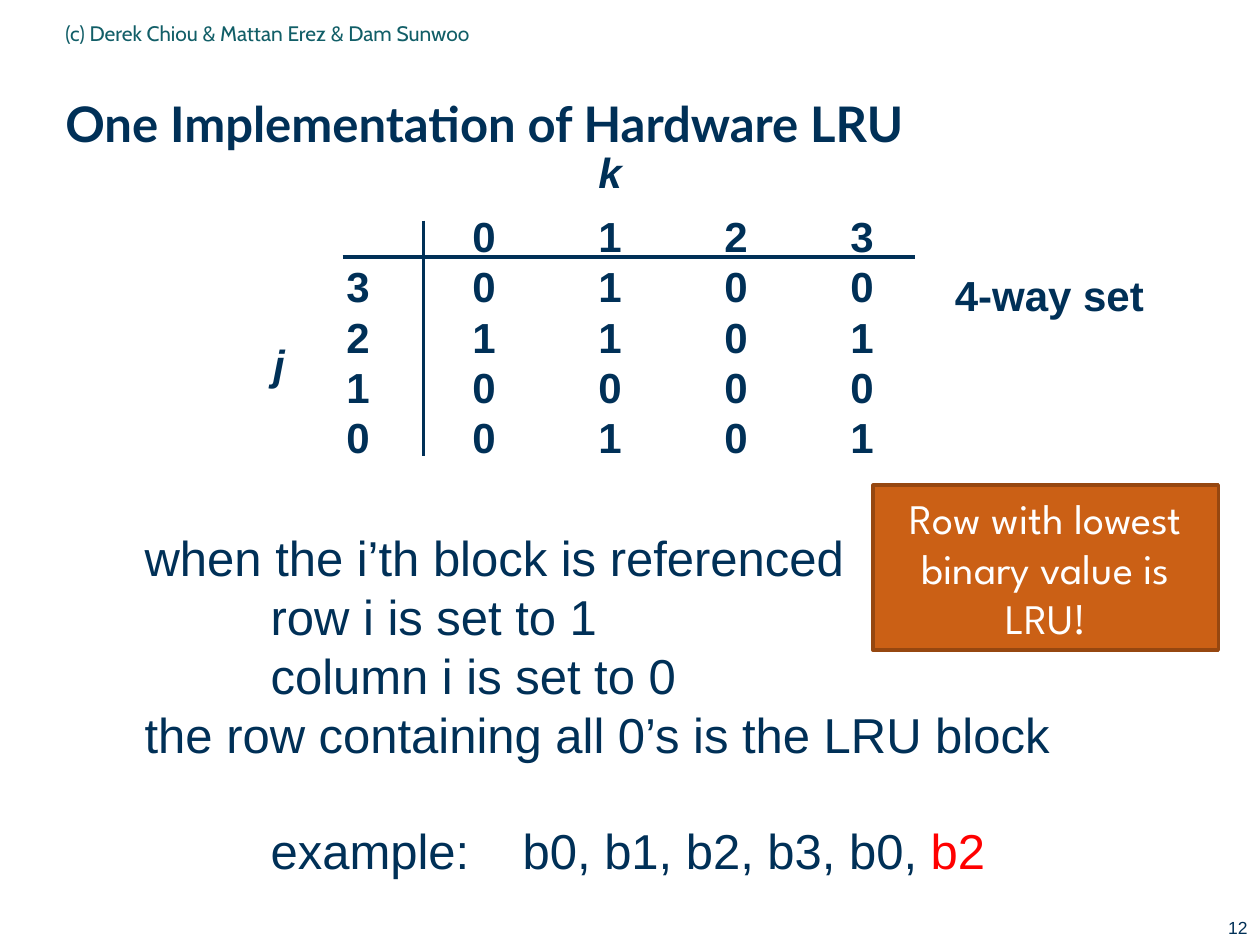
import lxml.etree
import pptx
import pptx.dml.color
import pptx.enum.shapes
import pptx.enum.text
import pptx.oxml.ns
import pptx.util
from pptx.util import Inches

NAVY = pptx.dml.color.RGBColor(0x00, 0x30, 0x57)
TEAL = pptx.dml.color.RGBColor(0x11, 0x5E, 0x67)
RED = pptx.dml.color.RGBColor(0xFF, 0x00, 0x00)
WHITE = pptx.dml.color.RGBColor(0xFF, 0xFF, 0xFF)
ORANGE = pptx.dml.color.RGBColor(0xCB, 0x60, 0x15)
BROWN = pptx.dml.color.RGBColor(0x96, 0x47, 0x10)
ALIGN = pptx.enum.text.PP_ALIGN
MIDDLE = pptx.enum.text.MSO_ANCHOR.MIDDLE
TOP = pptx.enum.text.MSO_ANCHOR.TOP

LRU_MATRIX = [
    ["", "0", "1", "2", "3"],
    ["3", "0", "1", "0", "0"],
    ["2", "1", "1", "0", "1"],
    ["1", "0", "0", "0", "0"],
    ["0", "0", "1", "0", "1"],
]


def add_span(para, text, size=24, font="Arial", color=NAVY, bold=False, italic=False):
    span = para.add_run()
    span.text = text
    span.font.size = pptx.util.Pt(size)
    span.font.name = font
    span.font.color.rgb = color
    span.font.bold = bold
    span.font.italic = italic


def write_lines(shape, lines, anchor=TOP, align=ALIGN.LEFT, **style):
    frame = shape.text_frame
    frame.word_wrap = True
    frame.vertical_anchor = anchor
    for index, line in enumerate(lines):
        para = frame.add_paragraph() if index else frame.paragraphs[0]
        para.alignment = align
        add_span(para, line, **style)
    return frame.paragraphs


def add_text(page, lines, left, top, width, height, **style):
    box = page.shapes.add_textbox(
        Inches(left), Inches(top), Inches(width), Inches(height))
    return write_lines(box, lines, **style)


def set_tab_stops(para, positions):
    stops = lxml.etree.SubElement(
        para._p.get_or_add_pPr(), pptx.oxml.ns.qn("a:tabLst"))
    for position in positions:
        lxml.etree.SubElement(stops, pptx.oxml.ns.qn("a:tab"),
                              pos=str(Inches(position)), algn="l")


def add_rule(page, left, top, right, bottom):
    rule = page.shapes.add_connector(
        pptx.enum.shapes.MSO_CONNECTOR.STRAIGHT,
        Inches(left), Inches(top), Inches(right), Inches(bottom))
    rule.line.color.rgb = NAVY
    rule.line.width = pptx.util.Pt(2)
    lxml.etree.SubElement(rule._element.spPr, pptx.oxml.ns.qn("a:effectLst"))


def add_callout(page, text, left, top, width, height):
    callout = page.shapes.add_shape(
        pptx.enum.shapes.MSO_SHAPE.RECTANGLE,
        Inches(left), Inches(top), Inches(width), Inches(height))
    callout.shadow.inherit = False
    callout.fill.solid()
    callout.fill.fore_color.rgb = ORANGE
    callout.line.color.rgb = BROWN
    callout.line.width = pptx.util.Pt(2)
    write_lines(callout, [text], anchor=MIDDLE, align=ALIGN.CENTER,
                font="League Spartan", color=WHITE)


def add_matrix(page):
    rows = ["\t".join(row) for row in LRU_MATRIX]
    for para in add_text(page, rows, 2.65, 1.62, 5.2, 2.09, bold=True):
        set_tab_stops(para, range(1, len(LRU_MATRIX[0])))
    add_rule(page, 2.72, 2.04, 7.26, 2.04)
    add_rule(page, 3.36, 1.75, 3.36, 3.62)
    add_text(page, ["j"], 2.07, 2.64, 0.29, 0.5, bold=True, italic=True)
    add_text(page, ["k"], 4.65, 1.11, 0.39, 0.5, bold=True, italic=True)
    add_text(page, ["4-way set"], 7.48, 2.09, 1.8, 0.5, bold=True)


def add_rules_of_update(page):
    paras = add_text(page, [
        "when the i’th block is referenced",
        "row i is set to 1",
        "column i is set to 0",
        "the row containing all 0’s is the LRU block",
        "example: \tb0, b1, b2, b3, b0, ",
    ], 1.05, 4.14, 7.6, 2.9, size=28)
    example = paras[4]
    for para in (paras[1], paras[2], example):
        para._p.get_or_add_pPr().set("marL", str(Inches(1)))
    example.space_before = pptx.util.Pt(33)
    add_span(example, "b2", size=28, color=RED)


def main():
    deck = pptx.Presentation()
    deck.slide_width = Inches(10)
    deck.slide_height = Inches(7.5)
    page = deck.slides.add_slide(deck.slide_layouts[6])

    title = add_text(page, ["One Implementation of Hardware LRU"], 0.42, 0.5, 9.41, 0.98,
                     anchor=MIDDLE, size=28, font="Lato", bold=True)
    title[0].line_spacing = 0.99
    add_text(page, ["(c) Derek Chiou & Mattan Erez & Dam Sunwoo"], 0.42, 0.03, 5.67, 0.46,
             anchor=MIDDLE, size=12, font="Cabin", color=TEAL)
    add_text(page, ["12"], 7.67, 7.23, 2.33, 0.27, align=ALIGN.RIGHT, size=10)
    add_matrix(page)
    add_rules_of_update(page)
    add_callout(page, "Row with lowest binary value is LRU!", 6.93, 3.85, 2.74, 1.31)
    deck.save("out.pptx")


if __name__ == "__main__":
    main()
